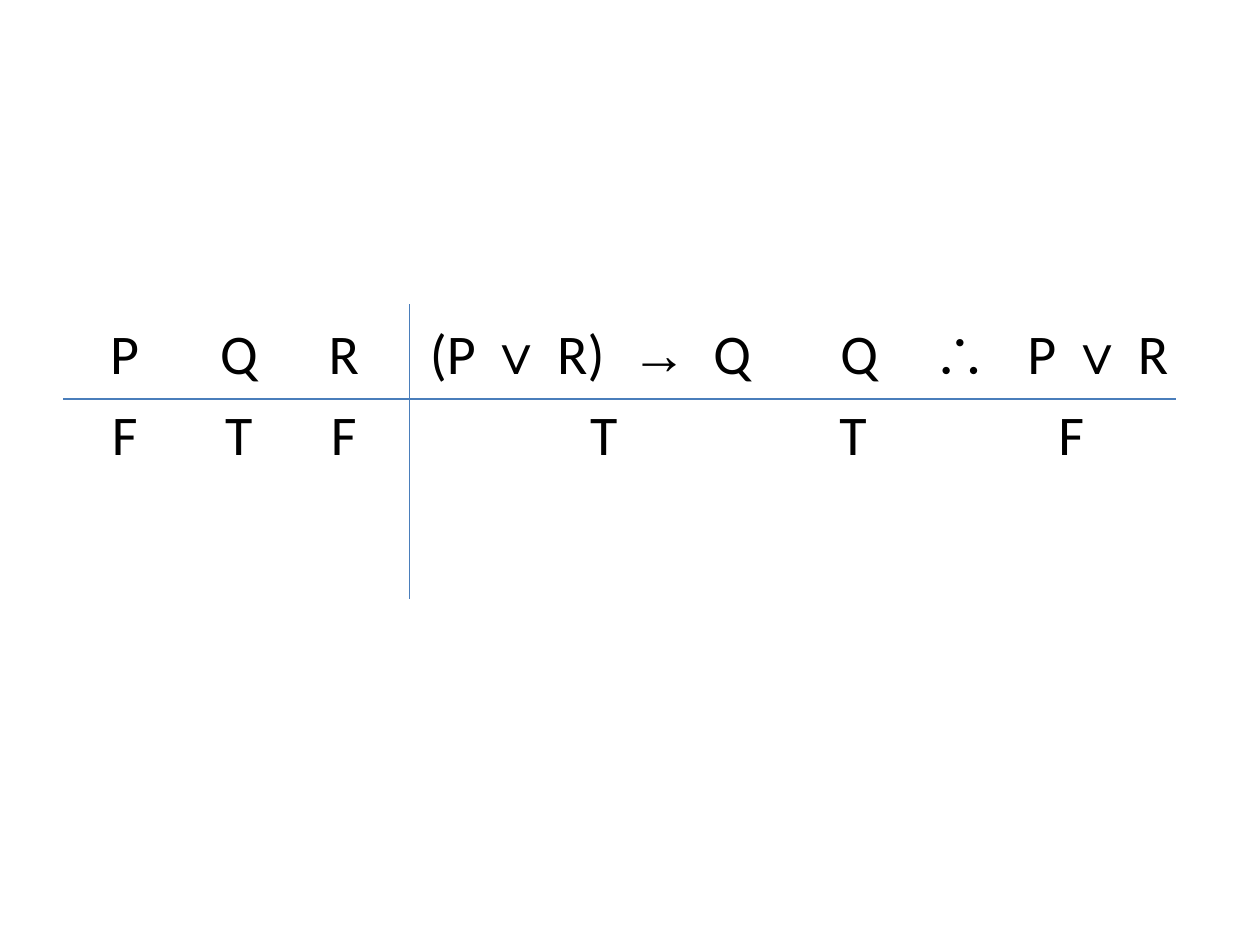
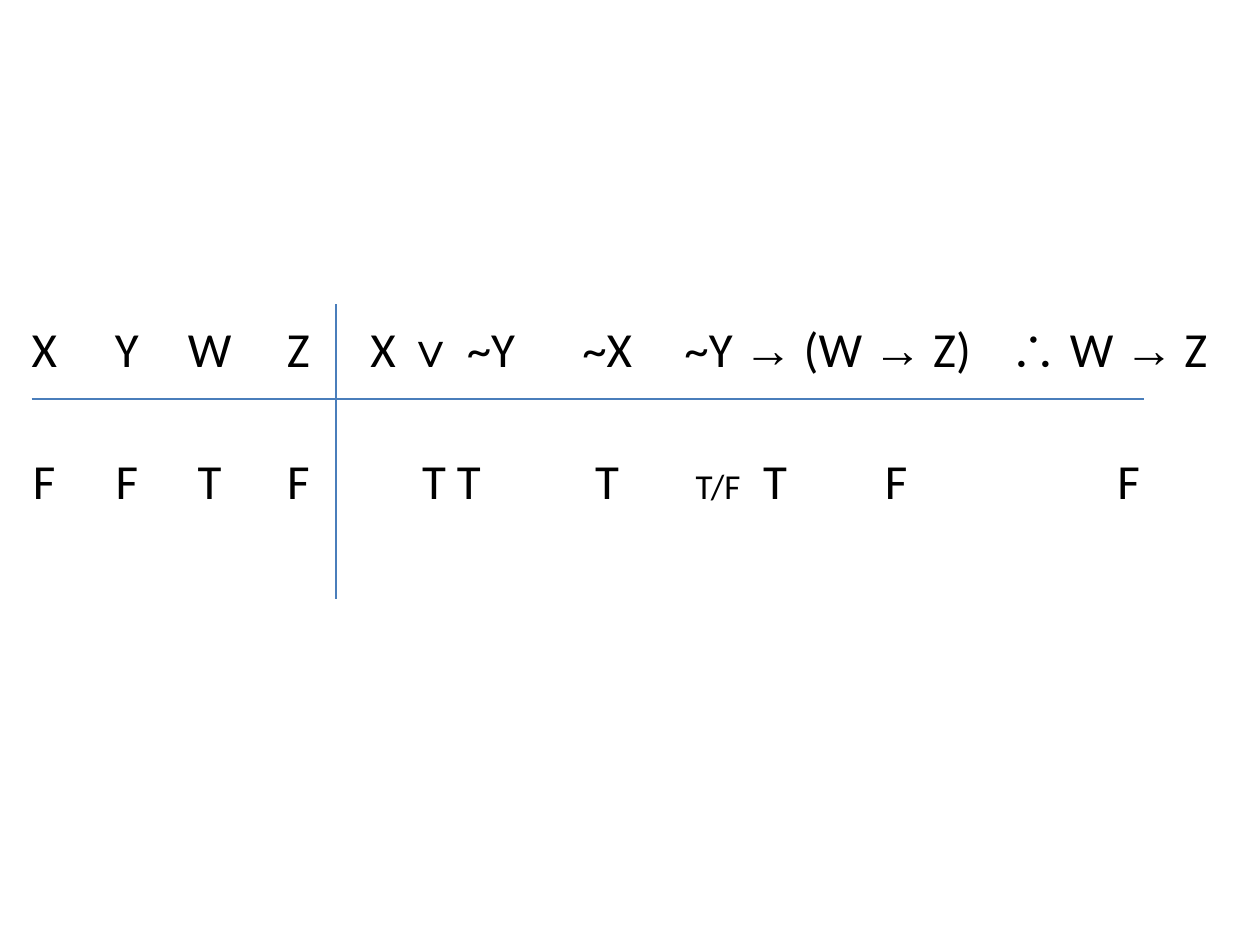
import itertools

import lxml.etree as etree
import pptx
import pptx.dml.color
import pptx.enum.shapes
import pptx.enum.text
import pptx.oxml.ns
import pptx.util

Pt = pptx.util.Pt
qn = pptx.oxml.ns.qn
ALIGN = pptx.enum.text.PP_ALIGN
COLORS = {"text": "000000", "rule": "4A7EBB"}
FONT, SIGN_FONT = "Calibri", "Arial"
SIGNS = "∨→∴"
TOP = 180
RULE_TOP, RULE_LOW, RULE_MID = 174, 342, 228
RULE_WIDTH = 636


def rgb(name):
    return pptx.dml.color.RGBColor.from_string(COLORS[name])


def cell(text, left=False, indent=0, tabs=()):
    return {"text": text, "left": left, "indent": indent, "tabs": tabs}


def add_tabs(par, stops):
    tabs = etree.SubElement(par._p.get_or_add_pPr(), qn("a:tabLst"))
    for stop in stops:
        etree.SubElement(tabs, qn("a:tab"), pos=str(int(Pt(stop))), algn="l")


def add_run(par, text, size):
    run = par.add_run()
    run.text = text
    sign = text in SIGNS
    run.font.name = SIGN_FONT if sign else FONT
    run.font.size = Pt(size)
    run.font.bold = text == "∨"
    run.font.color.rgb = rgb("text")


def fill_cell(box, item, size):
    """Write one entry, with the logic signs in their own font."""
    box.fill.background()
    par = box.text_frame.paragraphs[0]
    par.alignment = ALIGN.LEFT if item["left"] else ALIGN.CENTER
    if item["indent"]:
        par._p.get_or_add_pPr().set("marL", str(int(Pt(item["indent"]))))
    if item["tabs"]:
        add_tabs(par, item["tabs"])
    for part in item["text"].partition("T/F"):
        part_size = 20 if part == "T/F" else size
        for _, group in itertools.groupby(part, lambda c: c in SIGNS):
            add_run(par, "".join(group), part_size)


def add_grid(slide, left, widths, heights, rows, size):
    frame = slide.shapes.add_table(
        len(rows), len(widths), Pt(left), Pt(TOP), Pt(sum(widths)), Pt(sum(heights)))
    grid = frame.table
    grid.first_row = grid.horz_banding = False
    for col, width in zip(grid.columns, widths):
        col.width = Pt(width)
    for row, height, items in zip(grid.rows, heights, rows):
        row.height = Pt(height)
        for box, item in zip(row.cells, items):
            fill_cell(box, cell(item) if isinstance(item, str) else item, size)


def add_rule(slide, x1, y1, x2, y2):
    line = slide.shapes.add_connector(
        pptx.enum.shapes.MSO_CONNECTOR.STRAIGHT, Pt(x1), Pt(y1), Pt(x2), Pt(y2))
    line.line.color.rgb = rgb("rule")
    line.line.width = Pt(0.75)
    etree.SubElement(line._element.spPr, qn("a:effectLst"))


def add_cross(slide, left, mid):
    """Draw the two rules that part letters, formulas and values."""
    add_rule(slide, mid, RULE_TOP, mid, RULE_LOW)
    add_rule(slide, left, RULE_MID, left + RULE_WIDTH, RULE_MID)


def main():
    deck = pptx.Presentation()
    deck.slide_width, deck.slide_height = Pt(720), Pt(540)
    blank = deck.slide_layouts[6]

    slide = deck.slides.add_slide(blank)
    add_grid(slide, 36, [70.5, 60, 60, 222.5, 77, 158], [46, 46], [
        ["P", "Q", "R",
         cell("\t(P ∨ R)\t→\tQ", left=True, tabs=(12, 127, 174)),
         " Q", cell("∴\tP ∨ R", left=True, tabs=(54,))],
        ["F", "T", "F", cell("T", indent=14.5), "T", cell("F", indent=14.5)],
    ], 32)
    add_cross(slide, 36, 234)

    slide = deck.slides.add_slide(blank)
    add_grid(slide, 0, [50.5, 44, 50.5, 51, 114, 74, 186, 150], [75, 41], [
        ["X", "Y", "W", "Z", "X ∨ ~Y", "~X",
         cell("~Y → (W → Z)", left=True), cell("∴ W → Z", left=True)],
        ["F", "F", "T", "F", cell("T T", left=True, indent=38), "T",
         cell(" T/F\tT\tF", left=True, tabs=(45, 114.5)), "F"],
    ], 28)
    add_cross(slide, 18, 192)

    deck.save("out.pptx")


if __name__ == "__main__":
    main()
